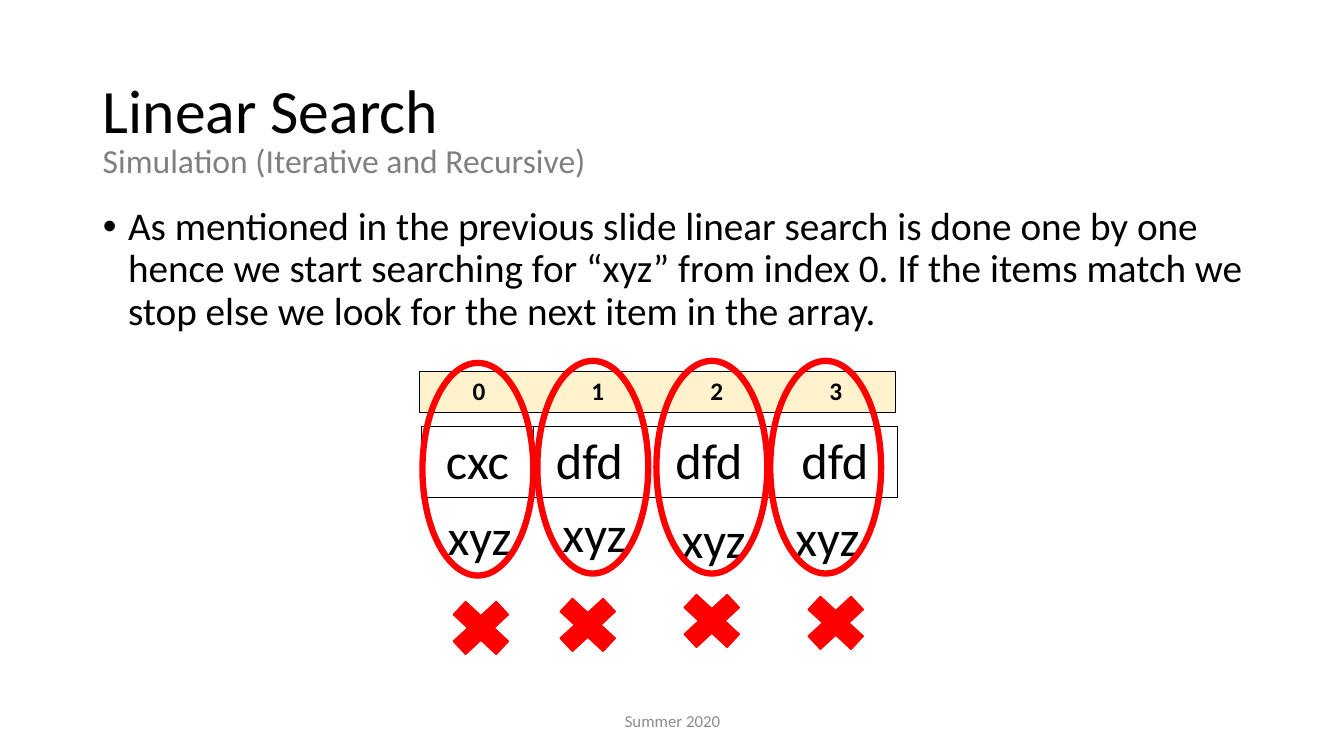
"""Builds the slide that simulates a linear search."""
from lxml import etree
from pptx import Presentation
from pptx import util as u
from pptx.dml.color import RGBColor
from pptx.enum import shapes, text
from pptx.oxml import ns

WIDTH, HEIGHT = u.Inches(13.33), u.Inches(7.5)
BLACK = RGBColor(0, 0, 0)
GREY = RGBColor(0x80, 0x80, 0x80)
FOOTER_GREY = RGBColor(0x8C, 0x8C, 0x8C)
RED = RGBColor(0xFF, 0, 0)
CREAM = RGBColor(0xFF, 0xF2, 0xCC)
LEFT, MIDDLE = text.PP_ALIGN.LEFT, text.PP_ALIGN.CENTER

BODY = ("As mentioned in the previous slide linear search is done one by one "
        "hence we start searching for “xyz” from index 0. If the items match we "
        "stop else we look for the next item in the array.")
ITEMS = ["cxc", "dfd", "dfd", "dfd"]
KEY = "xyz"
RING_LEFTS = [31.43, 39.98, 48.84, 57.31]
RING_TOPS = [48, 47.73, 47.73, 47.73]
KEY_TOPS = [66.13, 65.73, 66.53, 66.27]
CROSS_SPOTS = [(32.71, 78), (40.66, 77.6), (49.89, 77.07), (59.11, 77.33)]


def across(share):
    """Turn a percentage of the slide width into a length."""
    return int(WIDTH * share / 100)


def down(share):
    """Turn a percentage of the slide height into a length."""
    return int(HEIGHT * share / 100)


def area(left, top, width, height):
    """Turn four percentages into a position and size."""
    return across(left), down(top), across(width), down(height)


def write(frame, words, size, color=BLACK, align=LEFT, bold=False):
    """Fill a text frame with one formatted paragraph and return it."""
    para = frame.paragraphs[0]
    para.text = words
    para.alignment = align
    font = para.font
    font.name, font.size, font.bold = "Calibri", u.Pt(size), bold
    font.color.rgb = color
    return para


def fill_placeholder(box, place, words, size, anchor):
    """Move a placeholder, write its text and return the paragraph."""
    box.left, box.top, box.width, box.height = area(*place)
    box.text_frame.auto_size = text.MSO_AUTO_SIZE.NONE
    box.text_frame.vertical_anchor = anchor
    para = write(box.text_frame, words, size)
    para.line_spacing = 0.9
    return para


def add_text(slide, place, words, size, color=BLACK, align=LEFT,
             anchor=text.MSO_ANCHOR.TOP, wrap=True):
    """Add a text box and return its paragraph."""
    frame = slide.shapes.add_textbox(*area(*place)).text_frame
    frame.word_wrap = wrap
    frame.vertical_anchor = anchor
    return write(frame, words, size, color, align)


def add_mark(slide, kind, place, line_width, filled):
    """Add a red outlined shape, optionally filled red."""
    mark = slide.shapes.add_shape(kind, *area(*place))
    mark.shadow.inherit = False
    mark.line.color.rgb = RED
    mark.line.width = u.Pt(line_width)
    if filled:
        mark.fill.solid()
        mark.fill.fore_color.rgb = RED
    else:
        mark.fill.background()


def set_borders(cell, sides):
    """Draw thin black borders on the given sides and none elsewhere."""
    properties = cell._tc.get_or_add_tcPr()
    for side in "LRTB":
        line = etree.SubElement(properties, ns.qn(f"a:ln{side}"), w=str(u.Pt(0.5)))
        if side in sides:
            fill = etree.SubElement(line, ns.qn("a:solidFill"))
            etree.SubElement(fill, ns.qn("a:srgbClr"), val=str(BLACK))
        else:
            etree.SubElement(line, ns.qn("a:noFill"))


def add_row(slide, left, top, height, widths, words, size, color=None,
            grid=True, bold=False):
    """Add a one-row table with a full grid or only an outer frame."""
    count = len(words)
    place = area(left, top, sum(widths), height)
    table = slide.shapes.add_table(1, count, *place).table
    table.first_row = table.horz_banding = False
    for index, (width, word) in enumerate(zip(widths, words)):
        table.columns[index].width = across(width)
        cell = table.cell(0, index)
        first, last = index == 0, index == count - 1
        set_borders(cell, "TB" + "L" * (grid or first) + "R" * (grid or last))
        if color is None:
            cell.fill.background()
        else:
            cell.fill.solid()
            cell.fill.fore_color.rgb = color
        write(cell.text_frame, word, size, align=MIDDLE, bold=bold)


def add_comparisons(slide):
    """Add the searched key, ring and cross of every array item."""
    for left, top, key_top, spot in zip(RING_LEFTS, RING_TOPS, KEY_TOPS, CROSS_SPOTS):
        add_text(slide, (left + 1.13, key_top, 6.53, 9.47), KEY, 36, wrap=False)
        add_mark(slide, shapes.MSO_SHAPE.OVAL, (left, top, 8.25, 28.13), 4.5, False)
        add_mark(slide, shapes.MSO_SHAPE.MATH_MULTIPLY, (*spot, 6.15, 10.13), 1, True)


def main():
    """Build and save the deck."""
    deck = Presentation()
    deck.slide_width, deck.slide_height = WIDTH, HEIGHT
    slide = deck.slides.add_slide(deck.slide_layouts[1])
    title, body = slide.placeholders
    fill_placeholder(title, (6.9, 5.33, 86.27, 19.33), "Linear Search", 44,
                     text.MSO_ANCHOR.MIDDLE)
    para = fill_placeholder(body, (6.9, 26.67, 86.27, 63.47), BODY, 28,
                            text.MSO_ANCHOR.TOP)
    para.space_before = u.Pt(10)
    properties = para._p.get_or_add_pPr()
    properties.set("marL", str(u.Inches(0.25)))
    properties.set("indent", str(-u.Inches(0.25)))
    etree.SubElement(properties, ns.qn("a:buFont"), typeface="Arial")
    etree.SubElement(properties, ns.qn("a:buChar"), char="•")
    properties.append(properties.find(ns.qn("a:defRPr")))

    add_text(slide, (33.16, 92.67, 33.76, 5.33), "Summer 2020", 12, FOOTER_GREY,
             MIDDLE, text.MSO_ANCHOR.MIDDLE)
    add_row(slide, 31.36, 56.4, 9.33, [8.33, 8.33, 9.45, 9.3], ITEMS, 36)
    add_row(slide, 31.21, 49.07, 5.47, [8.85] * 4, ["0", "1", "2", "3"], 18,
            CREAM, grid=False, bold=True)
    add_comparisons(slide)
    subtitle = add_text(slide, (6.9, 18.4, 86.27, 8.27),
                        "Simulation (Iterative and Recursive)", 24, GREY)
    subtitle.line_spacing = 0.9
    subtitle.space_before = u.Pt(10)
    deck.save("out.pptx")


if __name__ == "__main__":
    main()
